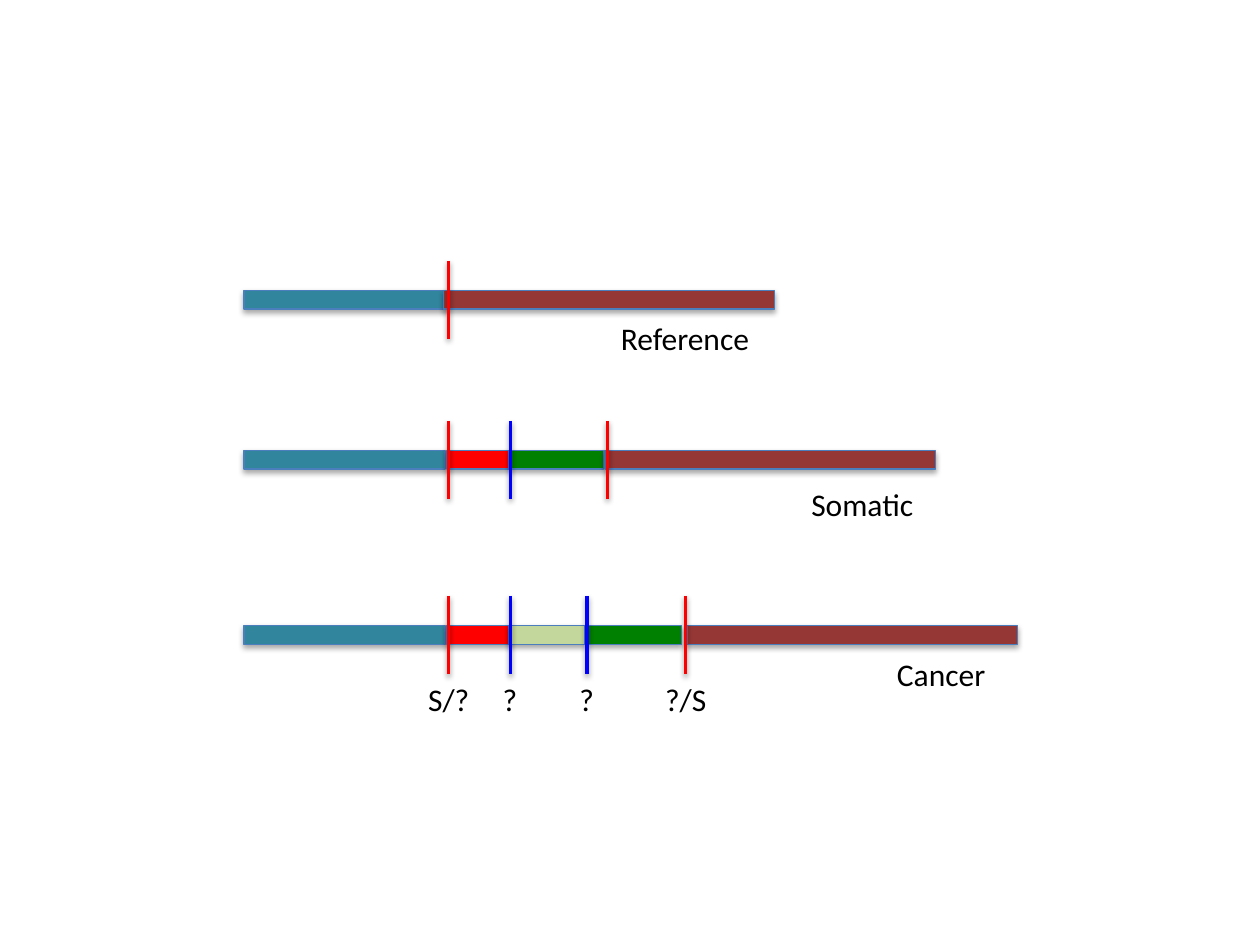
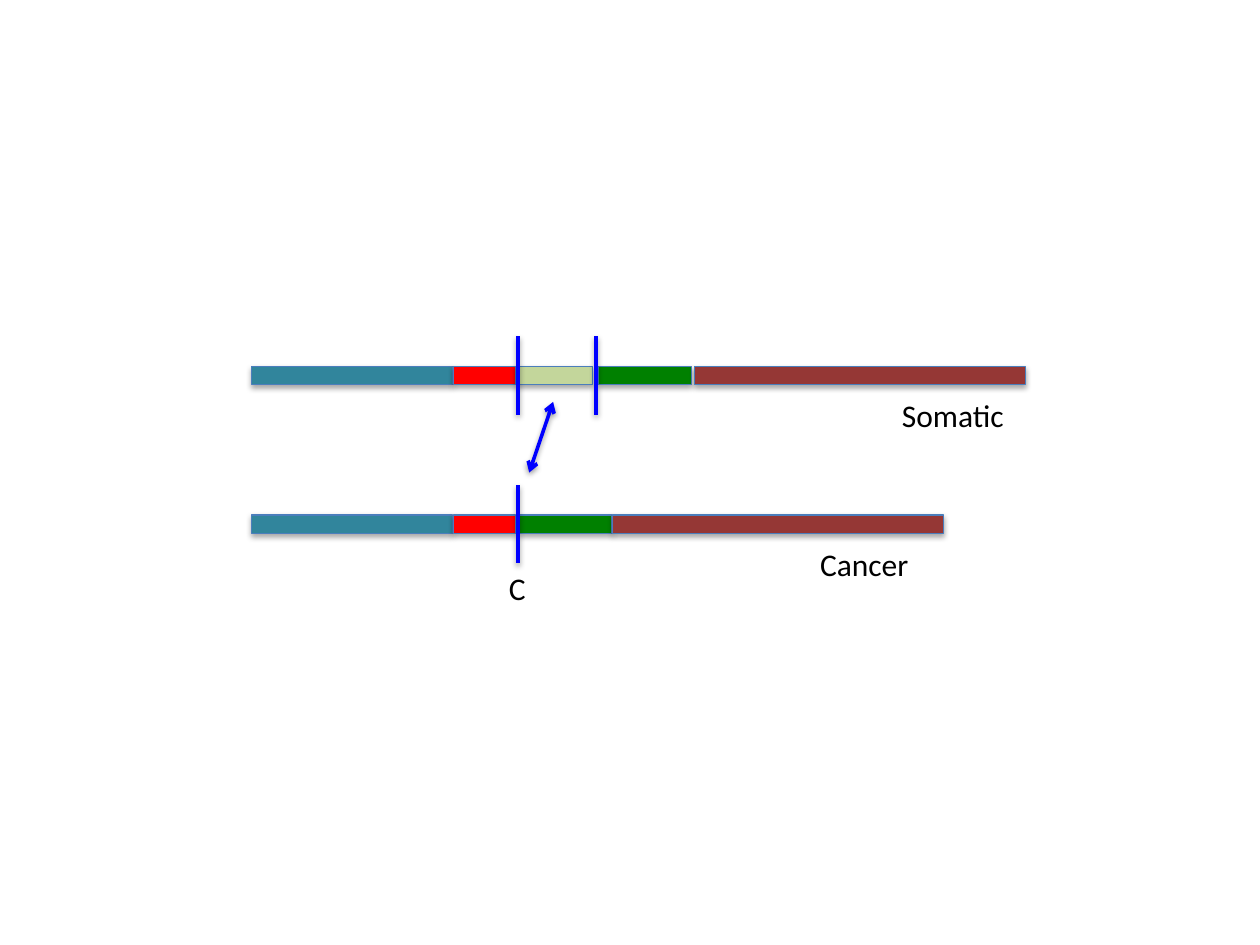
from dataclasses import dataclass

from pptx import Presentation
from pptx.dml.color import RGBColor
from pptx.enum.shapes import MSO_CONNECTOR, MSO_SHAPE
from pptx.enum.text import MSO_AUTO_SIZE
from pptx.oxml.ns import qn
from pptx.oxml.xmlchemy import OxmlElement
from pptx.shapes.connector import Connector
from pptx.slide import Slide
from pptx.util import Pt

BAR = MSO_SHAPE.MATH_MINUS
STRAIGHT = MSO_CONNECTOR.STRAIGHT
FIT_TEXT = MSO_AUTO_SIZE.SHAPE_TO_FIT_TEXT

PX = 9144  # EMU per px, 100 px to the inch
PAGE_WIDTH, PAGE_HEIGHT = 1000, 750
ROW_HEIGHT = 62
TEXT_HEIGHT = 40
BLANK_LAYOUT = 6


@dataclass(frozen=True)
class Shadow:
    distance: int
    opacity: int
    blur: int = 40000


@dataclass(frozen=True)
class Theme:
    teal: str = "31859C"
    red: str = "FF0000"
    green: str = "008000"
    pale: str = "C3D69B"
    brown: str = "953735"
    blue: str = "0000FF"
    outline: str = "4B7EBC"
    text: str = "000000"
    font: str = "Calibri"
    text_size: int = 18
    outline_width: float = 0.75
    cut_width: int = 2
    bar_shadow: Shadow = Shadow(distance=23000, opacity=35)
    line_shadow: Shadow = Shadow(distance=20000, opacity=38)


THEME = Theme()
BAR_WIDTHS = {THEME.teal: 217, THEME.red: 67, THEME.green: 100,
              THEME.pale: 81, THEME.brown: 357}


@dataclass(frozen=True)
class Label:
    text: str
    left: int
    top: int
    width: int


@dataclass(frozen=True)
class Cut:
    x: int
    color: str
    mark: str = ""
    mark_width: int = 0


@dataclass(frozen=True)
class Sequence:
    """One strand: bars as (colour, left) pairs, its cuts and its name."""
    top: int
    bars: tuple[tuple[str, int], ...]
    cuts: tuple[Cut, ...]
    label: Label


INSERTION = (
    Sequence(207, ((THEME.teal, 165), (THEME.brown, 305)),
             (Cut(356, THEME.red),),
             Label("Reference", 483, 248, 123)),
    Sequence(334, ((THEME.teal, 165), (THEME.red, 346), (THEME.green, 392),
                   (THEME.brown, 433)),
             (Cut(356, THEME.red), Cut(405, THEME.blue), Cut(482, THEME.red)),
             Label("Somatic", 634, 380, 102)),
    Sequence(473, ((THEME.teal, 165), (THEME.red, 346), (THEME.green, 454),
                   (THEME.brown, 498), (THEME.pale, 394)),
             (Cut(356, THEME.red, "S/?", 53), Cut(405, THEME.blue, "?", 32),
              Cut(466, THEME.blue, "?", 32), Cut(544, THEME.red, "?/S", 53)),
             Label("Cancer", 702, 515, 91)),
)
DELETION = (
    Sequence(267, ((THEME.teal, 171), (THEME.red, 351), (THEME.green, 462),
                   (THEME.brown, 504), (THEME.pale, 400)),
             (Cut(411, THEME.blue), Cut(473, THEME.blue)),
             Label("Somatic", 706, 309, 102)),
    Sequence(385, ((THEME.teal, 171), (THEME.red, 351), (THEME.green, 399),
                   (THEME.brown, 439)),
             (Cut(411, THEME.blue, "C", 34),),
             Label("Cancer", 641, 428, 91)),
)


def set_shadow(element, shadow: Shadow) -> None:
    """Give a shape or connector a soft shadow falling straight down."""
    effects = OxmlElement("a:effectLst")
    outer = OxmlElement("a:outerShdw")
    for name, value in (("blurRad", shadow.blur), ("dist", shadow.distance),
                        ("dir", 5400000), ("rotWithShape", 0)):
        outer.set(name, str(value))
    color = OxmlElement("a:srgbClr")
    color.set("val", "000000")
    alpha = OxmlElement("a:alpha")
    alpha.set("val", str(shadow.opacity * 1000))
    color.append(alpha)
    outer.append(color)
    effects.append(outer)
    element.spPr.append(effects)


def add_bar(page: Slide, color: str, left: int, top: int) -> None:
    bar = page.shapes.add_shape(BAR, left * PX, top * PX,
                                BAR_WIDTHS[color] * PX, ROW_HEIGHT * PX)
    bar.fill.solid()
    bar.fill.fore_color.rgb = RGBColor.from_string(color)
    bar.line.color.rgb = RGBColor.from_string(THEME.outline)
    bar.line.width = Pt(THEME.outline_width)
    set_shadow(bar.element, THEME.bar_shadow)


def add_line(page: Slide, start: tuple[int, int], end: tuple[int, int],
             color: str) -> Connector:
    line = page.shapes.add_connector(
        STRAIGHT, *(length * PX for length in start + end))
    line.line.color.rgb = RGBColor.from_string(color)
    line.line.width = Pt(THEME.cut_width)
    set_shadow(line.element, THEME.line_shadow)
    return line


def add_double_arrow(page: Slide, start: tuple[int, int],
                     end: tuple[int, int], color: str) -> None:
    arrow = add_line(page, start, end, color)
    outline = arrow.element.spPr.find(qn("a:ln"))
    for tag in ("a:headEnd", "a:tailEnd"):
        tip = OxmlElement(tag)
        tip.set("type", "arrow")
        outline.append(tip)


def add_label(page: Slide, label: Label) -> None:
    box = page.shapes.add_textbox(label.left * PX, label.top * PX,
                                  label.width * PX, TEXT_HEIGHT * PX)
    frame = box.text_frame
    frame.word_wrap = False
    frame.auto_size = FIT_TEXT
    span = frame.paragraphs[0].add_run()
    span.text = label.text
    span.font.name = THEME.font
    span.font.size = Pt(THEME.text_size)
    span.font.color.rgb = RGBColor.from_string(THEME.text)


def add_sequence(page: Slide, sequence: Sequence) -> None:
    bottom = sequence.top + ROW_HEIGHT
    for color, left in sequence.bars:
        add_bar(page, color, left, sequence.top)
    for cut in sequence.cuts:
        add_line(page, (cut.x, sequence.top), (cut.x, bottom), cut.color)
        if cut.mark:
            add_label(page, Label(cut.mark, cut.x - cut.mark_width // 2,
                                  bottom, cut.mark_width))
    add_label(page, sequence.label)


def add_page(deck, sequences: tuple[Sequence, ...]) -> Slide:
    page = deck.slides.add_slide(deck.slide_layouts[BLANK_LAYOUT])
    for sequence in sequences:
        add_sequence(page, sequence)
    return page


def main() -> None:
    deck = Presentation()
    deck.slide_width = PAGE_WIDTH * PX
    deck.slide_height = PAGE_HEIGHT * PX
    add_page(deck, INSERTION)
    deletion_page = add_page(deck, DELETION)
    add_double_arrow(deletion_page, (439, 319), (420, 375), THEME.blue)
    deck.save("out.pptx")


if __name__ == "__main__":
    main()
